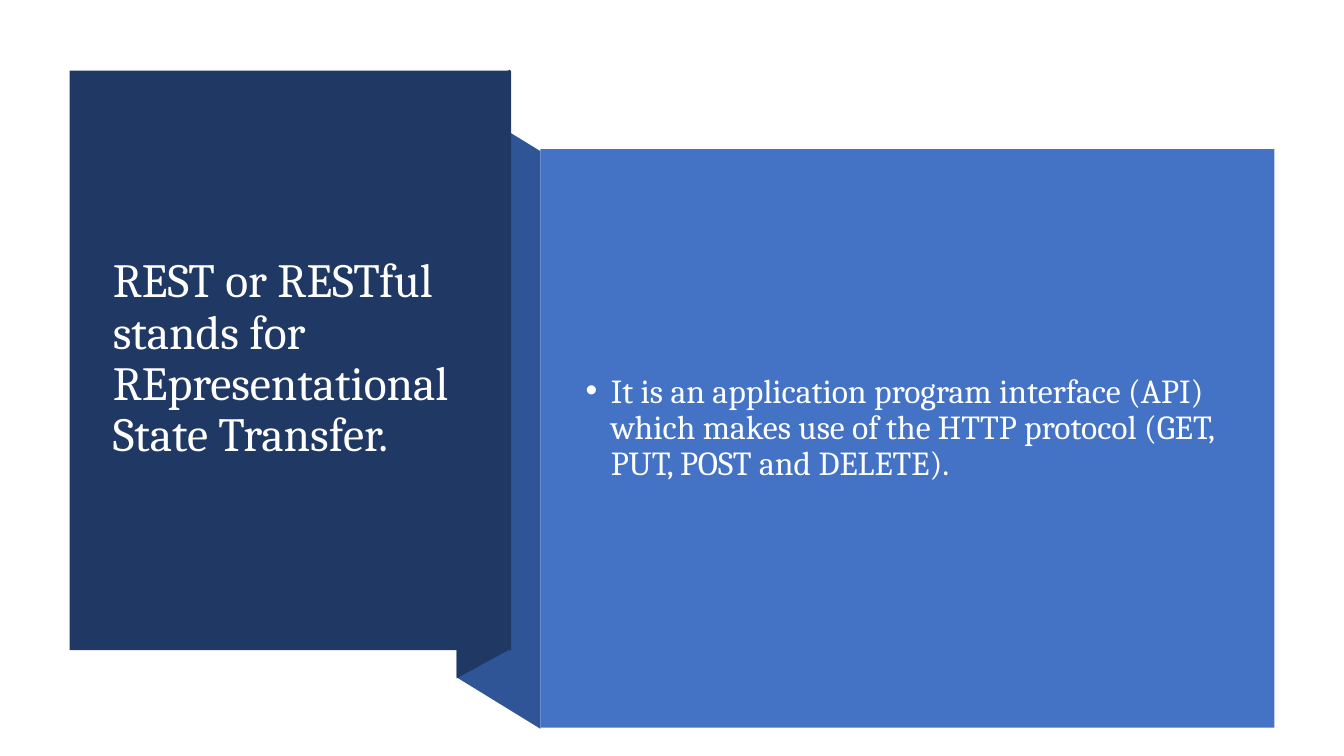
from dataclasses import dataclass

from lxml.etree import SubElement
from pptx import Presentation
from pptx.dml.color import RGBColor
from pptx.enum.shapes import MSO_SHAPE
from pptx.enum.text import MSO_ANCHOR, PP_ALIGN
from pptx.oxml.ns import qn
from pptx.shapes.autoshape import Shape
from pptx.slide import Slide
from pptx.text.text import _Paragraph as Paragraph
from pptx.util import Pt

EMU_PER_PX = 9144  # 100 px to the inch
FONT = "Cambria"
NAVY, FOLD_BLUE, PANEL_BLUE = "203864", "2F5597", "4472C4"


@dataclass(frozen=True)
class Box:
    left: int
    top: int
    width: int
    height: int

    def emu(self) -> tuple[int, int, int, int]:
        return px(self.left), px(self.top), px(self.width), px(self.height)


@dataclass(frozen=True)
class Panel:
    box: Box
    color: str


@dataclass(frozen=True)
class Fold:
    """A vertical strip whose top and bottom edges slant."""
    left: int
    right: int
    left_top: int
    right_top: int
    left_bottom: int
    right_bottom: int
    color: str


@dataclass(frozen=True)
class Caption:
    box: Box
    text: str
    size: int
    color: str
    space_before: int = 0
    bullet: str = ""


FOLDS = [
    Fold(453, 536, 99, 150, 672, 723, FOLD_BLUE),
    Fold(453, 506, 98, 69, 673, 644, NAVY),
]
PANELS = [
    Panel(Box(69, 70, 438, 575), NAVY),
    Panel(Box(536, 148, 728, 574), PANEL_BLUE),
]
CAPTIONS = [
    Caption(
        Box(102, 107, 371, 499),
        "REST or RESTful stands for REpresentational State Transfer.",
        34, "FFFFFF",
    ),
    Caption(
        Box(571, 188, 651, 474),
        "It is an application program interface (API) which makes use of "
        "the HTTP protocol (GET, PUT, POST and DELETE).",
        24, "FEFFFF", space_before=10, bullet="•",
    ),
]


def px(length: int) -> int:
    return length * EMU_PER_PX


def rgb(color: str) -> RGBColor:
    return RGBColor.from_string(color)


def paint(shape: Shape, color: str) -> None:
    shape.fill.solid()
    shape.fill.fore_color.rgb = rgb(color)
    shape.line.fill.background()
    shape.shadow.inherit = False


def draw_fold(slide: Slide, fold: Fold) -> None:
    builder = slide.shapes.build_freeform(
        fold.right, fold.right_bottom, scale=EMU_PER_PX
    )
    builder.add_line_segments([
        (fold.left, fold.left_bottom),
        (fold.left, fold.left_top),
        (fold.right, fold.right_top),
    ])
    paint(builder.convert_to_shape(), fold.color)


def draw_panel(slide: Slide, panel: Panel) -> None:
    shape = slide.shapes.add_shape(MSO_SHAPE.RECTANGLE, *panel.box.emu())
    paint(shape, panel.color)


def add_bullet(paragraph: Paragraph, character: str) -> None:
    properties = paragraph._p.get_or_add_pPr()
    properties.set("marL", str(px(25)))
    properties.set("indent", str(px(-25)))
    SubElement(properties, qn("a:buFont")).set("typeface", "Arial")
    SubElement(properties, qn("a:buChar")).set("char", character)


def draw_caption(slide: Slide, caption: Caption) -> None:
    text_frame = slide.shapes.add_textbox(*caption.box.emu()).text_frame
    text_frame.word_wrap = True
    text_frame.vertical_anchor = MSO_ANCHOR.MIDDLE
    text_frame.text = caption.text
    paragraph = text_frame.paragraphs[0]
    paragraph.alignment = PP_ALIGN.LEFT
    paragraph.line_spacing = 0.9
    paragraph.space_before = Pt(caption.space_before)
    if caption.bullet:
        add_bullet(paragraph, caption.bullet)
    font = paragraph.runs[0].font
    font.name = FONT
    font.size = Pt(caption.size)
    font.color.rgb = rgb(caption.color)


def main() -> None:
    presentation = Presentation()
    presentation.slide_width = px(1333)
    presentation.slide_height = px(750)
    slide = presentation.slides.add_slide(presentation.slide_layouts[6])
    for fold in FOLDS:
        draw_fold(slide, fold)
    for panel in PANELS:
        draw_panel(slide, panel)
    for caption in CAPTIONS:
        draw_caption(slide, caption)
    presentation.save("out.pptx")


if __name__ == "__main__":
    main()
